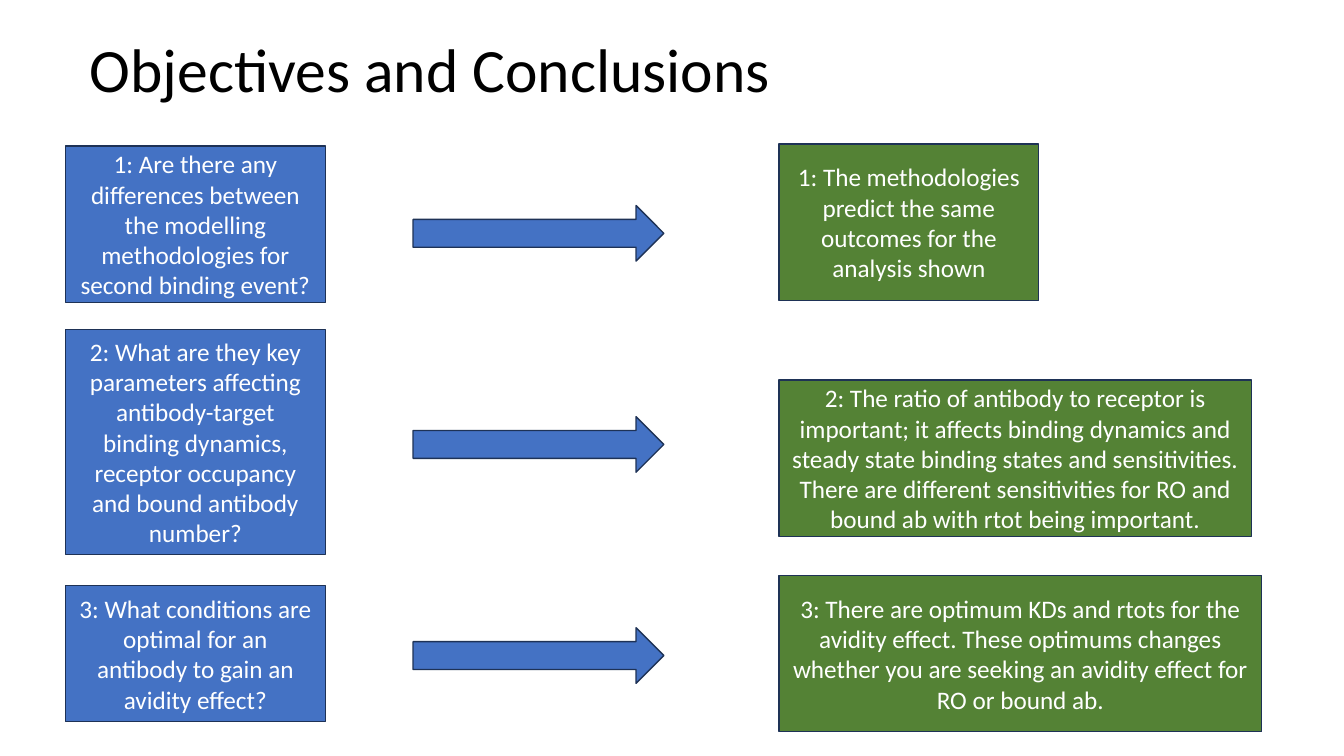
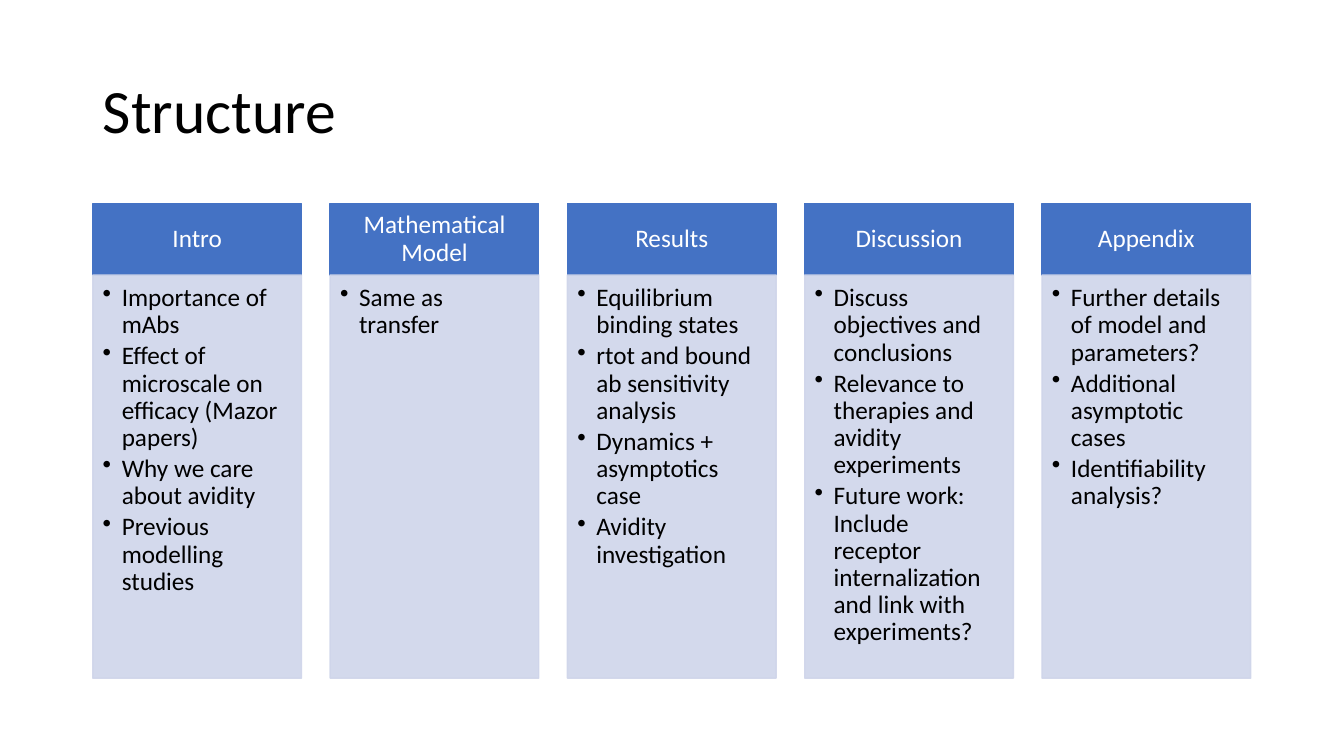
from lxml.etree import SubElement
from pptx import Presentation
from pptx.dml.color import RGBColor
from pptx.enum.shapes import MSO_SHAPE as Preset
from pptx.enum.text import MSO_ANCHOR as Anchor, MSO_AUTO_SIZE as AutoSize, PP_ALIGN as Align
from pptx.oxml.ns import qn
from pptx.util import Cm, Pt

COLOURS = {
    "blue": "4472C4",
    "green": "548235",
    "outline": "1E3256",
    "pale": "CFD5EA",
    "white": "FFFFFF",
    "black": "000000",
}
FONT = "Calibri"
TITLE_ONLY = 5

QUESTION_LEFT, QUESTION_WIDTH = 1.65, 6.55
QUESTIONS = [
    (3.68, 3.94, "1: Are there any differences between the modelling methodologies "
                 "for second binding event?"),
    (8.31, 5.66, "2: What are they key parameters affecting antibody-target binding "
                 "dynamics, receptor occupancy and bound antibody number?"),
    (14.76, 3.43, "3: What conditions are optimal for an antibody to gain an avidity effect?"),
]
ANSWER_LEFT, ANSWER_HEIGHT = 19.63, 3.94
ANSWERS = [
    (3.63, 6.55, "1: The methodologies predict the same outcomes for the analysis shown"),
    (9.58, 11.91, "2: The ratio of antibody to receptor is important; it affects binding "
                  "dynamics and steady state binding states and sensitivities. There are "
                  "different sensitivities for RO and bound ab with rtot being important."),
    (14.5, 12.17, "3: There are optimum KDs and rtots for the avidity effect. These optimums "
                  "changes whether you are seeking an avidity effect for RO or bound ab."),
]
ARROW_TOP, ARROW_PITCH = 5.18, 5.32

COLUMN_LEFT, COLUMN_PITCH, COLUMN_WIDTH = 2.34, 5.98, 5.26
HEADER_TOP, HEADER_HEIGHT, LIST_HEIGHT = 5.13, 1.8, 10.16
SECTIONS = {
    "Intro": ["Importance of mAbs", "Effect of microscale on efficacy (Mazor papers)",
              "Why we care about avidity", "Previous modelling studies"],
    "Mathematical Model": ["Same as transfer"],
    "Results": ["Equilibrium binding states", "rtot and bound ab sensitivity analysis",
                "Dynamics + asymptotics case", "Avidity investigation"],
    "Discussion": ["Discuss objectives and conclusions",
                   "Relevance to therapies and avidity experiments",
                   "Future work: Include receptor internalization and link with experiments?"],
    "Appendix": ["Further details of model and parameters?", "Additional asymptotic cases",
                 "Identifiability analysis?"],
}


class Deck:
    """Holds the shared style and the current slide."""

    def __init__(self):
        self.deck = Presentation()
        self.deck.slide_width, self.deck.slide_height = Cm(33.87), Cm(19.05)
        self.page = None

    def style(self, para, size, colour, align, spacing=None):
        para.font.name, para.font.size = FONT, Pt(size)
        para.font.color.rgb = RGBColor.from_string(COLOURS[colour])
        para.alignment, para.line_spacing = align, spacing

    def inset(self, frame, left, top, right, bottom):
        frame.margin_left, frame.margin_top = Cm(left), Cm(top)
        frame.margin_right, frame.margin_bottom = Cm(right), Cm(bottom)

    def add_page(self, title, left, top):
        self.page = self.deck.slides.add_slide(self.deck.slide_layouts[TITLE_ONLY])
        box = self.page.shapes.title
        box.left, box.top, box.width, box.height = Cm(left), Cm(top), Cm(29.21), Cm(3.68)
        frame = box.text_frame
        frame.text = title
        frame.auto_size, frame.vertical_anchor = AutoSize.NONE, Anchor.MIDDLE
        self.style(frame.paragraphs[0], 44, "black", Align.LEFT, 0.9)

    def add_shape(self, preset, left, top, width, height, fill, line="outline"):
        shape = self.page.shapes.add_shape(preset, Cm(left), Cm(top), Cm(width), Cm(height))
        shape.shadow.inherit = False
        shape.fill.solid()
        shape.fill.fore_color.rgb = RGBColor.from_string(COLOURS[fill])
        shape.line.color.rgb = RGBColor.from_string(COLOURS[line])
        shape.line.width = Pt(1)
        return shape

    def add_box(self, text, left, top, width, height, fill, line="outline", spacing=None):
        box = self.add_shape(Preset.RECTANGLE, left, top, width, height, fill, line)
        frame = box.text_frame
        frame.text, frame.word_wrap, frame.vertical_anchor = text, True, Anchor.MIDDLE
        self.style(frame.paragraphs[0], 18, "white", Align.CENTER, spacing)
        return box

    def add_arrow(self, left, top, width, height):
        self.add_shape(Preset.RIGHT_ARROW, left, top, width, height, "blue")

    def add_list(self, items, left, top, width, height):
        box = self.add_shape(Preset.RECTANGLE, left, top, width, height, "pale", "pale")
        for colour in box.element.spPr.iter(qn("a:srgbClr")):
            SubElement(colour, qn("a:alpha"), val="90000")
        frame = box.text_frame
        frame.text, frame.word_wrap, frame.vertical_anchor = "\n".join(items), True, Anchor.TOP
        self.inset(frame, 0.25, 0.25, 0.36, 0.41)
        for para in frame.paragraphs:
            self.style(para, 18, "black", Align.LEFT, 0.9)
            para.space_after = Pt(2.7)
            self.add_bullet(para)

    def add_bullet(self, para):
        properties = para._p.get_or_add_pPr()
        indent = Cm(0.48)
        properties.set("marL", str(indent))
        properties.set("indent", str(-indent))
        bullet = properties.makeelement(qn("a:buChar"), {"char": "•"})
        properties.find(qn("a:defRPr")).addprevious(bullet)

    def add_section(self, heading, items, left):
        header = self.add_box(heading, left, HEADER_TOP, COLUMN_WIDTH, HEADER_HEIGHT,
                              "blue", "blue", 0.9)
        self.inset(header.text_frame, 0.36, 0.2, 0.36, 0.2)
        self.add_list(items, left, HEADER_TOP + HEADER_HEIGHT, COLUMN_WIDTH, LIST_HEIGHT)


def main():
    slides = Deck()

    slides.add_page("Objectives and Conclusions", 2.01, 0)
    for top, height, text in QUESTIONS:
        slides.add_box(text, QUESTION_LEFT, top, QUESTION_WIDTH, height, "blue")
    for row in range(len(QUESTIONS)):
        slides.add_arrow(10.41, ARROW_TOP + row * ARROW_PITCH, 6.32, 1.4)
    for top, width, text in ANSWERS:
        slides.add_box(text, ANSWER_LEFT, top, width, ANSWER_HEIGHT, "green")

    slides.add_page("Structure", 2.34, 1.01)
    for column, (heading, items) in enumerate(SECTIONS.items()):
        slides.add_section(heading, items, COLUMN_LEFT + column * COLUMN_PITCH)

    slides.deck.save("out.pptx")


if __name__ == "__main__":
    main()
